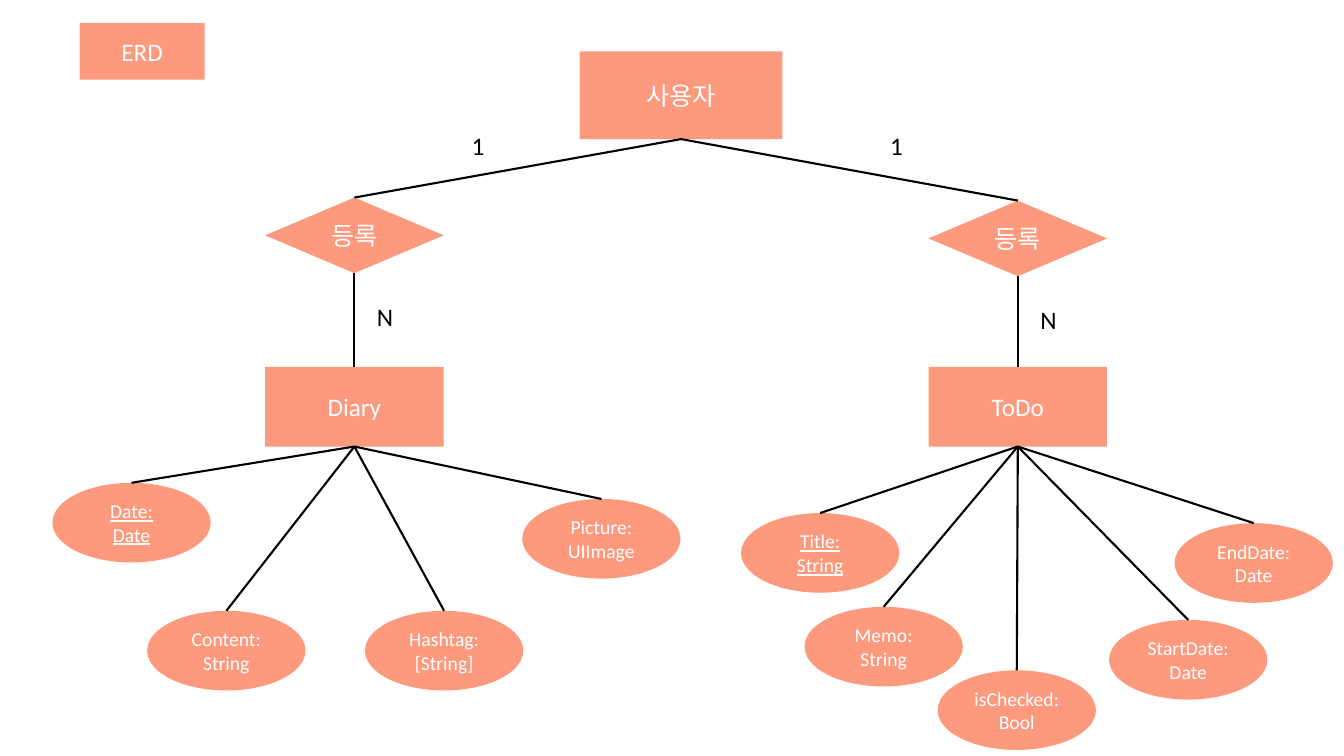
"""Draw the entity relationship diagram of a diary and to-do app."""
from lxml import etree
from pptx import Presentation
from pptx import util as u
from pptx.dml.color import RGBColor
from pptx.enum import shapes, text
from pptx.oxml.ns import qn

SCALE = 9144
CORAL, WHITE, BLACK = "FD997D", "FFFFFF", "000000"
OVAL_WIDTH, NODE_HEIGHT, DIAMOND_HEIGHT = 157, 79, 75
TOP, BOTTOM = 0, 2

DIARY_ATTRIBUTES = [
    ("Date:\nDate", -211, 36, True),
    ("Content: String", -117, 163, False),
    ("Hashtag: [String]", 99, 163, False),
    ("Picture: UIImage", 255, 52, False),
]
TODO_ATTRIBUTES = [
    ("Title:\nString", -186, 66, True),
    ("Memo:\vString", -123, 159, False),
    ("isChecked:\nBool", 9, 222, False),
    ("StartDate:\vDate", 179, 172, False),
    ("EndDate:\nDate", 244, 76, False),
]


def px(length):
    """Turn a length in px into EMU."""
    return u.Emu(length * SCALE)


def paint(color_format, color):
    """Give a fill or line fill a solid hex colour."""
    color_format.solid()
    color_format.fore_color.rgb = RGBColor.from_string(color)


def write(shape, words, size=18, color=WHITE, align=text.PP_ALIGN.CENTER, underline=None):
    """Put formatted words into a shape."""
    frame = shape.text_frame
    frame.text = words
    frame.word_wrap = True
    frame.vertical_anchor = text.MSO_ANCHOR.MIDDLE
    for paragraph in frame.paragraphs:
        paragraph.alignment = align
        for run in paragraph.runs:
            run.font.name = "Calibri"
            run.font.size = u.Pt(size)
            run.font.underline = underline
            run.font.color.rgb = RGBColor.from_string(color)


def add_node(slide, kind, words, box, **style):
    """Add a coral shape with centred words."""
    shape = slide.shapes.add_shape(kind, *map(px, box))
    shape.shadow.inherit = False
    paint(shape.fill, CORAL)
    shape.line.fill.background()
    write(shape, words, **style)
    return shape


def add_label(slide, words, left, top, width):
    """Add a cardinality label beside a line."""
    label = slide.shapes.add_textbox(*map(px, (left, top, width, 40)))
    write(label, words, color=BLACK, align=text.PP_ALIGN.LEFT)
    label.text_frame.vertical_anchor = text.MSO_ANCHOR.TOP
    label.text_frame.word_wrap = False
    label.text_frame.auto_size = text.MSO_AUTO_SIZE.SHAPE_TO_FIT_TEXT


def join(slide, lower, upper):
    """Link the top of the lower shape to the bottom of the upper one."""
    line = slide.shapes.add_connector(shapes.MSO_CONNECTOR.STRAIGHT, 0, 0, 0, 0)
    line.begin_connect(lower, TOP)
    line.end_connect(upper, BOTTOM)
    paint(line.line.fill, BLACK)
    line.line.width = u.Pt(1.5)
    etree.SubElement(line._element.spPr, qn("a:effectLst"))


def place_title(slide, words, box):
    """Shape the title placeholder as a rounded coral tag."""
    title = slide.shapes.title
    title.left, title.top, title.width, title.height = map(px, box)
    geometry = etree.SubElement(title._element.spPr, qn("a:prstGeom"), prst="roundRect")
    etree.SubElement(geometry, qn("a:avLst"))
    paint(title.fill, CORAL)
    write(title, words)
    title.text_frame.auto_size = text.MSO_AUTO_SIZE.NONE


def draw_user(slide, box):
    """Draw the user entity and the cardinality on both its sides."""
    left, top, _, _ = box
    user = add_node(slide, shapes.MSO_SHAPE.RECTANGLE, "사용자", box)
    for offset in (-117, 298):
        add_label(slide, "1", left + offset, top + 73, 33)
    return user


def draw_branch(slide, user, name, attributes, box):
    """Draw a relation at the box top, its entity at the bottom and the attributes around."""
    left, top, width, height = box
    bottom = top + height
    entity = add_node(slide, shapes.MSO_SHAPE.RECTANGLE, name,
                      (left, bottom - NODE_HEIGHT, width, NODE_HEIGHT))
    for words, across, down, is_key in attributes:
        oval = add_node(slide, shapes.MSO_SHAPE.OVAL, words,
                        (left + across, bottom + down, OVAL_WIDTH, NODE_HEIGHT),
                        size=14, underline=is_key or None)
        join(slide, oval, entity)
    relation = add_node(slide, shapes.MSO_SHAPE.DIAMOND, "등록",
                        (left, top, width, DIAMOND_HEIGHT))
    join(slide, entity, relation)
    join(slide, relation, user)
    add_label(slide, "N", left + 101, top + 98, 36)


def main():
    """Build and save the slide."""
    presentation = Presentation()
    presentation.slide_width, presentation.slide_height = px(1333), px(750)
    slide = presentation.slides.add_slide(presentation.slide_layouts[5])
    place_title(slide, "ERD", (79, 23, 124, 56))
    user = draw_user(slide, (575, 51, 201, 87))
    draw_branch(slide, user, "Diary", DIARY_ATTRIBUTES, (263, 196, 177, 247))
    draw_branch(slide, user, "ToDo", TODO_ATTRIBUTES, (921, 199, 177, 244))
    presentation.save("out.pptx")


if __name__ == "__main__":
    main()
